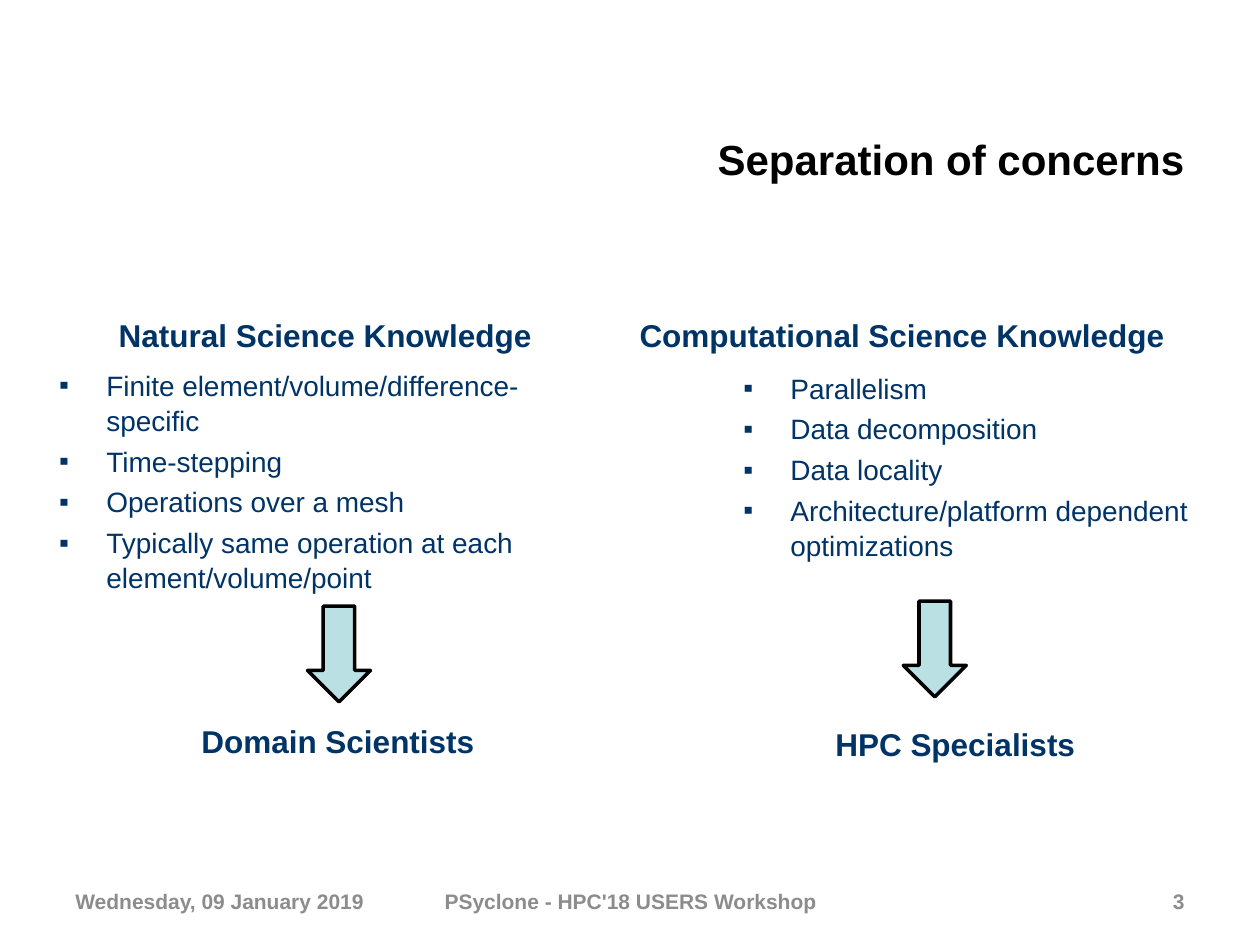
from dataclasses import dataclass

from lxml import etree
from pptx import Presentation
from pptx.dml.color import RGBColor
from pptx.enum.shapes import MSO_SHAPE
from pptx.enum.text import MSO_ANCHOR, MSO_AUTO_SIZE, PP_ALIGN
from pptx.oxml.ns import qn
from pptx.util import Cm, Pt

LEFT, MID, RIGHT = PP_ALIGN.LEFT, PP_ALIGN.CENTER, PP_ALIGN.RIGHT
TOP, CENTRE, BASE = MSO_ANCHOR.TOP, MSO_ANCHOR.MIDDLE, MSO_ANCHOR.BOTTOM
FIXED = MSO_AUTO_SIZE.NONE
DOWN = MSO_SHAPE.DOWN_ARROW


@dataclass(frozen=True)
class Theme:
    face: str = "Arial"
    black: str = "000000"
    navy: str = "003366"
    grey: str = "8C8C8C"
    aqua: str = "BBE0E3"
    title: int = 24
    head: int = 18
    item: int = 16
    foot: int = 12


class Deck:
    def __init__(self, theme):
        self.theme = theme
        self.file = Presentation()
        self.file.slide_width, self.file.slide_height = Cm(25.4), Cm(19.05)
        self.slide = self.file.slides.add_slide(self.file.slide_layouts[4])

    def place(self, shape, box):
        shape.left, shape.top, shape.width, shape.height = map(Cm, box)

    def style(self, para, size, tint, bold, align):
        para.alignment = align
        font = para.font
        font.name, font.size, font.bold = self.theme.face, Pt(size), bold
        font.color.rgb = RGBColor.from_string(tint)

    def fit(self, shape, text, size, tint, align, anchor):
        frame = shape.text_frame
        frame.text = text
        frame.word_wrap = True
        frame.auto_size = FIXED
        frame.vertical_anchor = anchor
        self.style(frame.paragraphs[0], size, tint, True, align)

    def title(self, text, box):
        shape = self.slide.shapes.title
        self.place(shape, box)
        self.fit(shape, text, self.theme.title, self.theme.black, RIGHT, CENTRE)

    def head(self, slot, text, box):
        shape = self.slide.placeholders[slot]
        self.place(shape, box)
        self.fit(shape, text, self.theme.head, self.theme.navy, MID, BASE)

    def items(self, slot, lines, box):
        shape = self.slide.placeholders[slot]
        self.place(shape, box)
        frame = shape.text_frame
        frame.text = "\n".join(lines)
        frame.auto_size = FIXED
        frame.vertical_anchor = TOP
        for para in frame.paragraphs:
            para.line_spacing = 1.05
            props = para._p.get_or_add_pPr()
            props.set("marL", str(Cm(0.95)))
            props.set("indent", str(-Cm(0.95)))
            etree.SubElement(props, qn("a:buFont"), typeface=self.theme.face)
            etree.SubElement(props, qn("a:buChar"), char="▪")
            self.style(para, self.theme.item, self.theme.navy, False, LEFT)

    def label(self, text, box, size, tint, align, anchor):
        shape = self.slide.shapes.add_textbox(*map(Cm, box))
        self.fit(shape, text, size, tint, align, anchor)

    def arrow(self, left, top):
        shape = self.slide.shapes.add_shape(DOWN, *map(Cm, (left, top, 1.27, 1.93)))
        shape.shadow.inherit = False
        shape.fill.solid()
        shape.fill.fore_color.rgb = RGBColor.from_string(self.theme.aqua)
        shape.line.color.rgb = RGBColor.from_string(self.theme.black)
        shape.line.width = Pt(2)


def main():
    theme = Theme()
    deck = Deck(theme)
    deck.title("Separation of concerns", (7.82, 2.44, 16.31, 1.5))

    deck.head(1, "Natural Science Knowledge", (0.94, 5.49, 11.23, 1.78))
    deck.items(2, [
        "Finite element/volume/difference-specific",
        "Time-stepping",
        "Operations over a mesh",
        "Typically same operation at each element/volume/point",
    ], (0.94, 7.26, 11.23, 8.97))

    deck.head(3, "Computational Science Knowledge", (12.57, 5.49, 11.23, 1.78))
    deck.items(4, [
        "Parallelism",
        "Data decomposition",
        "Data locality",
        "Architecture/platform dependent optimizations",
    ], (14.73, 7.32, 10.19, 6.83))

    for text, left, width, align in (
        ("Wednesday, 09 January 2019", 1.27, 7.06, LEFT),
        ("PSyclone - HPC'18 USERS Workshop", 8.69, 8.05, MID),
        ("3", 18.21, 5.92, RIGHT),
    ):
        deck.label(text, (left, 17.65, width, 1.02),
                   theme.foot, theme.grey, align, CENTRE)

    for text, left, top in (
        ("HPC Specialists", 16.59, 13.72),
        ("Domain Scientists", 3.81, 13.67),
    ):
        deck.label(text, (left, top, 6.1, 1.78),
                   theme.head, theme.navy, LEFT, BASE)

    deck.arrow(18.21, 12.12)
    deck.arrow(6.2, 12.22)
    deck.file.save("out.pptx")


if __name__ == "__main__":
    main()
